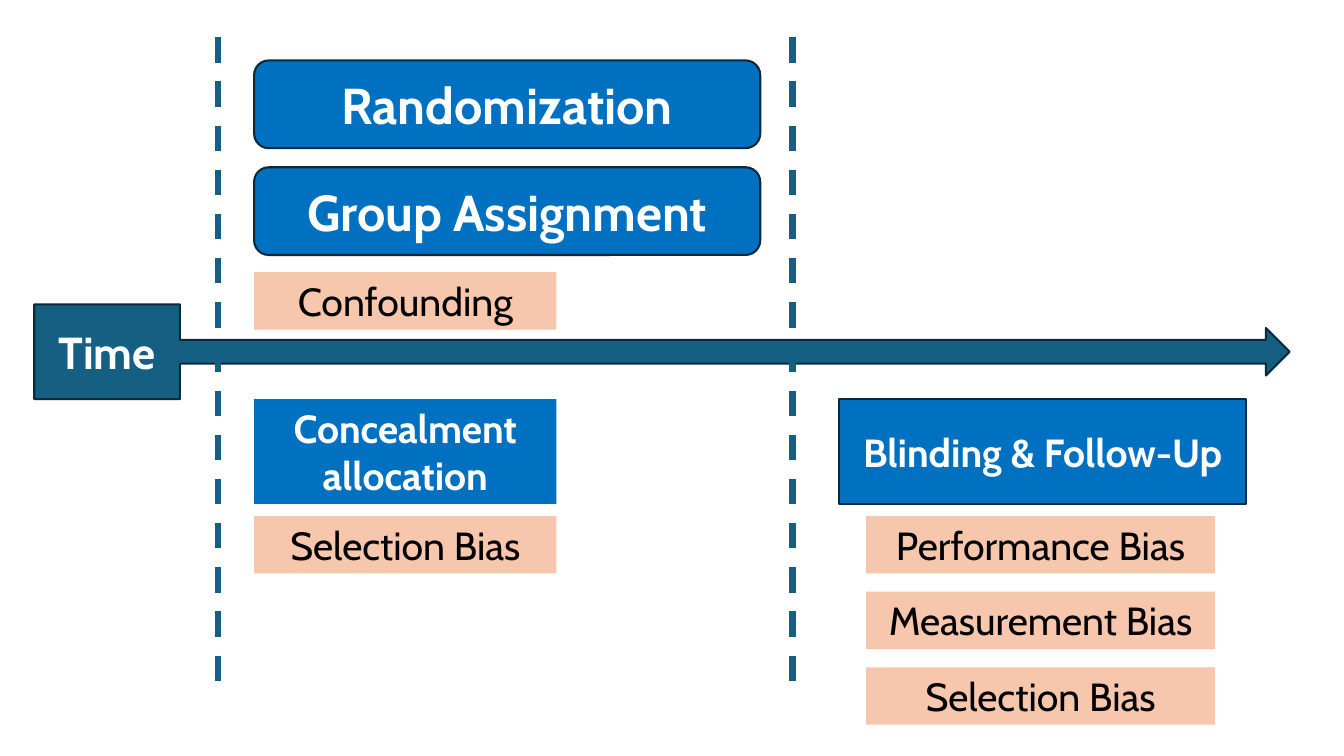
from lxml import etree
from pptx import Presentation
from pptx import util as u
from pptx.dml.color import RGBColor
from pptx.enum import dml, shapes, text
from pptx.oxml.ns import qn

PX = u.Inches(1) // 100  # 100 px to the inch


def color(value):
    return RGBColor.from_string(value)


class TimelineSlide:
    font = "Cabin"
    blue, teal, outline = "0070C0", "156082", "092A39"
    peach, white, black = "F6C6AD", "FFFFFF", "000000"

    def __init__(self, deck):
        self.page = deck.slides.add_slide(deck.slide_layouts[6])

    def add_words(self, box, words, size, ink, bold, anchor):
        frame = box.text_frame
        frame.word_wrap = True
        frame.vertical_anchor = anchor
        para = frame.paragraphs[0]
        para.alignment = text.PP_ALIGN.CENTER
        span = para.add_run()
        span.text = words
        span.font.name, span.font.size, span.font.bold = self.font, u.Pt(size), bold
        span.font.color.rgb = color(ink)

    def block(self, kind, words, frame, size, fill):
        """Outlined shape with bold white text."""
        box = self.page.shapes.add_shape(kind, *(n * PX for n in frame))
        box.shadow.inherit = False
        box.fill.solid()
        box.fill.fore_color.rgb = color(fill)
        box.line.color.rgb = color(self.outline)
        box.line.width = u.Pt(1.5)
        self.add_words(box, words, size, self.white, True, text.MSO_ANCHOR.MIDDLE)
        return box

    def label(self, words, frame, fill, ink, bold=False):
        """Filled text box without an outline."""
        box = self.page.shapes.add_textbox(*(n * PX for n in frame))
        box.fill.solid()
        box.fill.fore_color.rgb = color(fill)
        self.add_words(box, words, 28, ink, bold, text.MSO_ANCHOR.TOP)
        box.text_frame.auto_size = text.MSO_AUTO_SIZE.SHAPE_TO_FIT_TEXT

    def bias(self, words, left, top, width):
        self.label(words, (left, top, width, 57), self.peach, self.black)

    def divider(self, x, top, bottom):
        line = self.page.shapes.add_connector(
            shapes.MSO_CONNECTOR.STRAIGHT, x * PX, top * PX, x * PX, bottom * PX)
        line.line.color.rgb = color(self.teal)
        line.line.width = u.Pt(4.5)
        line.line.dash_style = dml.MSO_LINE.DASH
        etree.SubElement(line._element.spPr, qn("a:effectLst"))


def main():
    deck = Presentation()
    deck.slide_width, deck.slide_height = 1333 * PX, 750 * PX
    slide = TimelineSlide(deck)
    kinds = shapes.MSO_SHAPE
    left, narrow = 252, 300

    # Steps at the start of the trial
    for top, step in ((60, "Randomization"), (166, "Group Assignment")):
        slide.block(kinds.ROUNDED_RECTANGLE, step, (left, top, 502, 87), 36, slide.blue)

    # Time arrow
    arrow = slide.block(kinds.RIGHT_ARROW_CALLOUT, "Time", (34, 302, 1245, 94), 32, slide.teal)
    for index, ratio in enumerate((0.25, 0.25, 0.25, 0.116)):
        arrow.adjustments[index] = ratio

    # Safeguards below the arrow
    slide.label("Concealment allocation", (left, 396, narrow, 104),
                slide.blue, slide.white, bold=True)
    slide.block(kinds.RECTANGLE, "Blinding & Follow-Up", (832, 396, 404, 104), 28, slide.blue)

    # Biases of each phase
    slide.bias("Confounding", left, 270, narrow)
    slide.bias("Selection Bias", left, 512, narrow)
    follow_up = ("Performance Bias", "Measurement Bias", "Selection Bias")
    for row, words in enumerate(follow_up):
        slide.bias(words, 859, 512 + 75 * row, 346)

    # Phase boundaries
    for x in (216, 786):
        slide.divider(x, 37, 694)

    deck.save("out.pptx")


if __name__ == "__main__":
    main()
